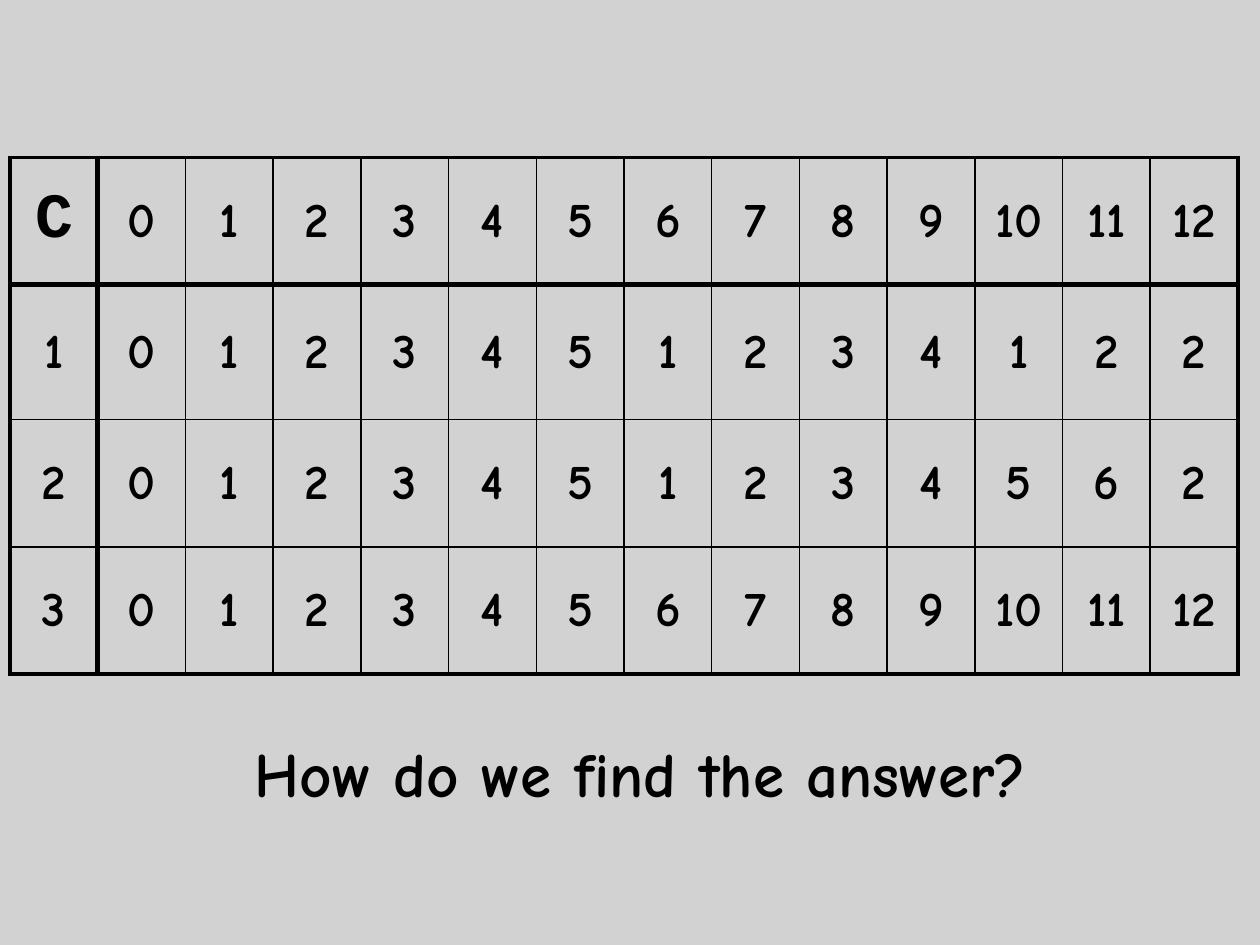
import lxml.etree
import pptx
import pptx.dml.color
import pptx.enum.shapes
import pptx.enum.text
import pptx.oxml.ns
import pptx.util

Inches = pptx.util.Inches
Pt = pptx.util.Pt
qn = pptx.oxml.ns.qn

BLACK = "000000"
COUNT = "0 1 2 3 4 5 6 7 8 9 10 11 12"
ROWS = [
    "C " + COUNT,
    "1 0 1 2 3 4 5 1 2 3 4 1 2 2",
    "2 0 1 2 3 4 5 1 2 3 4 5 6 2",
    "3 " + COUNT,
]
HEIGHTS = [1.01, 1.07, 1.01, 1.01]


def paint(color, tint):
    """Set a fill or font colour from a hex string."""
    color.rgb = pptx.dml.color.RGBColor.from_string(tint)


def write(frame, text, size=28, font="Comic Neue", tint=BLACK, bold=True):
    """Write one centred line of text."""
    para = frame.paragraphs[0]
    para.alignment = pptx.enum.text.PP_ALIGN.CENTER
    run = para.add_run()
    run.text = text
    run.font.size = Pt(size)
    run.font.name = font
    run.font.bold = bold
    paint(run.font.color, tint)


def edge(cell, side, width, tint=BLACK):
    """Draw one border of a cell."""
    props = cell._tc.get_or_add_tcPr()
    line = lxml.etree.SubElement(props, qn("a:ln" + side), w=str(Pt(width)))
    fill = lxml.etree.SubElement(line, qn("a:solidFill"))
    lxml.etree.SubElement(fill, qn("a:srgbClr"), val=tint)


def rules(count):
    """Line widths across a grid: thick outside, thickest after the head."""
    return [2.25, 3] + [1] * (count - 2) + [2.25]


def add_back(slide, left, top, width, height):
    kind = pptx.enum.shapes.MSO_SHAPE.RECTANGLE
    back = slide.shapes.add_shape(kind, left, top, width, height)
    back.shadow.inherit = False
    back.line.fill.background()
    back.fill.solid()
    paint(back.fill.fore_color, "C0C0C0")
    color = back.fill._xPr.find(".//" + qn("a:srgbClr"))
    lxml.etree.SubElement(color, qn("a:alpha"), val="70000")


def add_grid(slide, left, top, width):
    data = [row.split() for row in ROWS]
    wide = len(data[0])
    height = Inches(sum(HEIGHTS))
    grid = slide.shapes.add_table(len(data), wide, left, top, width, height).table
    grid.first_row = grid.horz_banding = False
    for col in grid.columns:
        col.width = width // wide
    down, across = rules(len(data)), rules(wide)
    for y, row in enumerate(data):
        grid.rows[y].height = Inches(HEIGHTS[y])
        for x, text in enumerate(row):
            cell = grid.cell(y, x)
            cell.vertical_anchor = pptx.enum.text.MSO_ANCHOR.MIDDLE
            # Borders come before the fill in the cell's XML
            sides = zip("LRTB", (across[x], across[x + 1], down[y], down[y + 1]))
            for side, size in sides:
                edge(cell, side, size)
            cell.fill.background()
            head = {"size": 36, "font": "Courier New"} if text == "C" else {}
            write(cell.text_frame, text, **head)


def add_query(slide, left, top, width, height):
    frame = slide.shapes.add_textbox(left, top, width, height).text_frame
    frame.word_wrap = True
    frame.auto_size = pptx.enum.text.MSO_AUTO_SIZE.SHAPE_TO_FIT_TEXT
    write(frame, "How do we find the answer?", size=36)


def main():
    deck = pptx.Presentation()
    deck.slide_width, deck.slide_height = Inches(10), Inches(7.5)
    slide = deck.slides.add_slide(deck.slide_layouts[6])
    # Grey wash, coin table, question
    add_back(slide, 0, 0, deck.slide_width, deck.slide_height)
    add_grid(slide, Inches(0.08), Inches(1.25), Inches(9.75))
    add_query(slide, Inches(0.42), Inches(5.78), Inches(9.33), Inches(0.71))
    deck.save("out.pptx")


if __name__ == "__main__":
    main()
